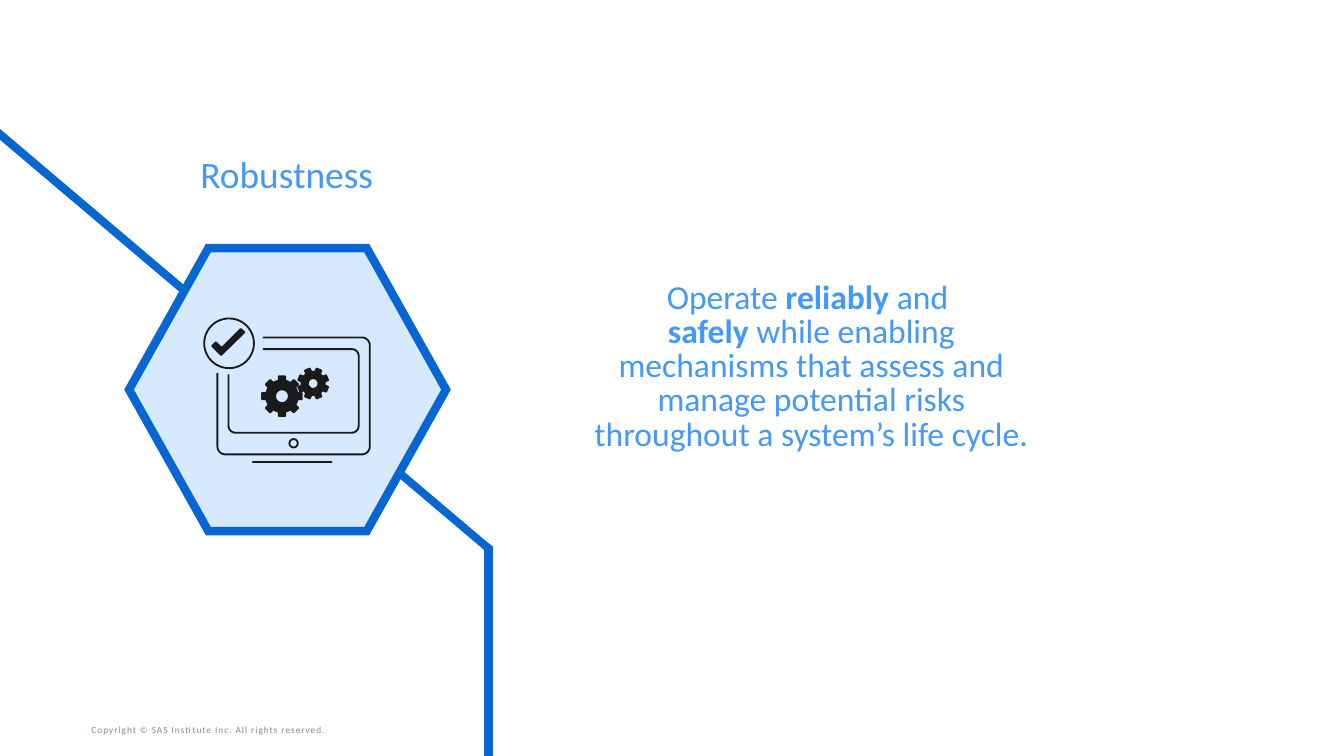
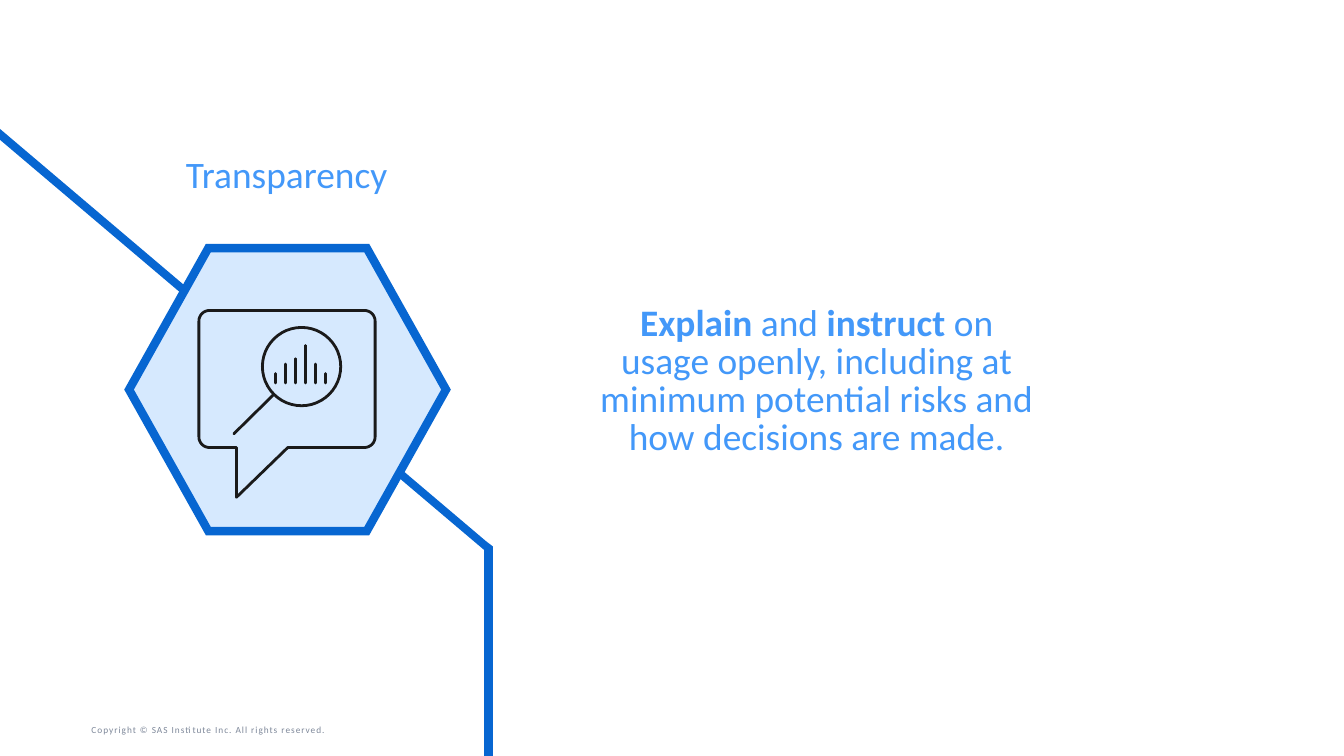
"""Build two slides on principles of trustworthy AI, each with a hexagon icon."""
from dataclasses import dataclass
from math import asin, cos, pi, sin
from typing import Union

from lxml import etree
from pptx import Presentation
from pptx.dml.color import RGBColor
from pptx.enum import shapes, text
from pptx.oxml import ns
from pptx.util import Cm, Pt

Spot = tuple[float, float]
Pts = tuple[Spot, ...]
Box = tuple[float, float, float, float]


@dataclass(frozen=True)
class Theme:
    font: str = "Calibri"
    white: str = "FFFFFF"
    ink: str = "1A1A1A"
    blue: str = "0766D1"
    pale: str = "D6E9FE"
    sky: str = "4398F9"
    gray: str = "7E889A"
    head: float = 20
    note: float = 5
    edge: float = 4.5
    lead: float = 0.85


T = Theme()


@dataclass(frozen=True)
class Line:
    start: Spot
    end: Spot


@dataclass(frozen=True)
class Disc:
    mid: Spot
    size: float
    fill: str = ""


@dataclass(frozen=True)
class Trace:
    pts: Pts
    closed: bool = False
    fill: str = ""
    hole: Pts = ()


Item = Union[Line, Disc, Trace]


@dataclass(frozen=True)
class Page:
    title: str
    body: str
    size: float
    box: Box
    icon: tuple[Item, ...]
    weight: float


def ring(mid: Spot, rad: float, steps: int = 32) -> Pts:
    turns = [2 * pi * i / steps for i in range(steps)]
    return tuple((mid[0] + rad * cos(a), mid[1] + rad * sin(a)) for a in turns)


def gear(mid: Spot, tip: float, root: float, half: float, bore: float,
         turn: float = 0, teeth: int = 8) -> Trace:
    wide, slim = asin(half / root), asin(half / tip)
    tooth = ((root, -wide), (tip, -slim), (tip, slim), (root, wide), (root, pi / teeth))
    pts = tuple(
        (mid[0] + rad * cos(turn + 2 * pi * i / teeth + off),
         mid[1] + rad * sin(turn + 2 * pi * i / teeth + off))
        for i in range(teeth) for rad, off in tooth)
    return Trace(pts, True, T.ink, ring(mid, bore))


def toward(spot: Spot, goal: Spot, rad: float) -> Spot:
    dx, dy = goal[0] - spot[0], goal[1] - spot[1]
    part = rad / (dx * dx + dy * dy) ** 0.5
    return spot[0] + dx * part, spot[1] + dy * part


def bend(pts: Pts, rad: float, steps: int = 8) -> Pts:
    out = [pts[0]]
    for last, spot, after in zip(pts, pts[1:], pts[2:]):
        a, b = toward(spot, last, rad), toward(spot, after, rad)
        for i in range(steps + 1):
            u, v = 1 - cos(pi / 2 * i / steps), 1 - sin(pi / 2 * i / steps)
            out.append(tuple(s + (p - s) * v + (q - s) * u
                             for s, p, q in zip(spot, a, b)))
    return (*out, pts[-1])


def rgb(code: str) -> RGBColor:
    return RGBColor.from_string(code)


def ink(shape, color: str, weight: float, join: str = "round") -> None:
    shape.line.color.rgb = rgb(color)
    shape.line.width = Pt(weight)
    line = shape.element.spPr.find(ns.qn("a:ln"))
    if join == "round":
        line.set("cap", "rnd")
        etree.SubElement(line, ns.qn("a:round"))
    else:
        etree.SubElement(line, ns.qn("a:miter"), lim="800000")


def paint(shape, fill: str) -> None:
    shape.shadow.inherit = False
    if fill:
        shape.fill.solid()
        shape.fill.fore_color.rgb = rgb(fill)
    else:
        shape.fill.background()


def trace(slide, item: Trace):
    (x, y), *rest = item.pts
    form = slide.shapes.build_freeform(Cm(x), Cm(y))
    form.add_line_segments([(Cm(a), Cm(b)) for a, b in rest], close=item.closed)
    if item.hole:
        (x, y), *rest = item.hole
        form.move_to(Cm(x), Cm(y))
        form.add_line_segments([(Cm(a), Cm(b)) for a, b in rest])
    shape = form.convert_to_shape()
    paint(shape, item.fill)
    return shape


def draw(slide, item: Item, weight: float) -> None:
    if isinstance(item, Line):
        shape = slide.shapes.add_connector(
            shapes.MSO_CONNECTOR.STRAIGHT, *map(Cm, item.start + item.end))
    elif isinstance(item, Disc):
        x, y = (c - item.size / 2 for c in item.mid)
        shape = slide.shapes.add_shape(
            shapes.MSO_SHAPE.OVAL, *map(Cm, (x, y, item.size, item.size)))
        paint(shape, item.fill)
    else:
        shape = trace(slide, item)
    ink(shape, T.ink, weight)
    if isinstance(item, Line):
        etree.SubElement(shape.element.spPr, ns.qn("a:effectLst"))


def write(shape, words: str, size: float, color: str, pad: Box = (0, 0, 0, 0)):
    frame = shape.text_frame
    frame.word_wrap = True
    frame.auto_size = text.MSO_AUTO_SIZE.NONE
    frame.vertical_anchor = text.MSO_ANCHOR.MIDDLE
    (frame.margin_left, frame.margin_top,
     frame.margin_right, frame.margin_bottom) = map(Cm, pad)
    para = frame.paragraphs[0]
    para.alignment = text.PP_ALIGN.CENTER
    para.line_spacing = T.lead
    para.space_before = Pt(0)
    para.font.name = T.font
    para.font.size = Pt(size)
    para.font.color.rgb = rgb(color)
    for row, line in enumerate(words.split("\n")):
        if row:
            para.add_line_break()
        for i, part in enumerate(line.split("*")):
            if part:
                run = para.add_run()
                run.text = part
                run.font.bold = i % 2 == 1
    return frame


def label(slide, box: Box):
    return slide.shapes.add_textbox(*map(Cm, box))


def frame(slide) -> None:
    note = label(slide, (1.73, 13.56, 6.99, 0.48))
    copy = write(note, "Copyright © SAS Institute Inc. All rights reserved.",
                 T.note, T.gray, (0, 0.13, 0.25, 0.13))
    copy.vertical_anchor = text.MSO_ANCHOR.BOTTOM
    copy.paragraphs[0].alignment = text.PP_ALIGN.LEFT
    copy.paragraphs[0].line_spacing = 1.0
    for prop in note.element.iter(ns.qn("a:rPr")):
        prop.set("spc", "50")
    band = trace(slide, Trace(
        ((0, 2.46), (9.17, 10.24), (9.3, 10.34), (9.3, 14.29),
         (9.17, 14.29), (9.17, 10.39), (0, 2.62)), True, T.blue))
    ink(band, T.blue, 1, "miter")
    hexa = slide.shapes.add_shape(
        shapes.MSO_SHAPE.HEXAGON, *map(Cm, (2.44, 4.69, 5.99, 5.35)))
    hexa.adjustments[0] = 0.28
    paint(hexa, T.pale)
    ink(hexa, T.blue, T.edge, "miter")


def build(deck, page: Page) -> None:
    slide = deck.slides.add_slide(deck.slide_layouts[5])
    frame(slide)
    title = slide.shapes.title
    title.left, title.top, title.width, title.height = map(Cm, (2.59, 2.36, 5.66, 1.96))
    write(title, page.title, T.head, T.sky)
    body = label(slide, page.box)
    body.fill.solid()
    body.fill.fore_color.rgb = rgb(T.white)
    write(body, page.body, page.size, T.sky)
    for item in page.icon:
        draw(slide, item, page.weight)


SCREEN = (
    Trace(bend(((4.98, 6.38), (6.99, 6.38), (6.99, 8.59), (4.11, 8.59), (4.11, 7.06)), 0.15)),
    Line((4.78, 8.74), (6.27, 8.74)),
    Trace(bend(((4.98, 6.6), (6.78, 6.6), (6.78, 8.18), (4.32, 8.18), (4.32, 7.09)), 0.13)),
    Disc((5.55, 8.38), 0.16),
    gear((5.33, 7.49), 0.38, 0.3, 0.06, 0.13),
    gear((5.92, 7.25), 0.29, 0.22, 0.05, 0.1, pi / 8),
    Disc((4.33, 6.49), 0.94),
    Trace(((4.62, 6.28), (4.55, 6.22), (4.19, 6.58), (4.08, 6.47),
           (4.01, 6.54), (4.18, 6.71)), True, T.ink),
)
BARS = (0.18, 0.36, 0.46, 0.71, 0.36, 0.18)
SPEECH = (
    Disc((5.7, 6.93), 1.48, T.pale),
    Line((4.42, 8.2), (5.16, 7.47)),
    *(Line((5.2 + 0.19 * i, 7.24 - tall), (5.2 + 0.19 * i, 7.24))
      for i, tall in enumerate(BARS)),
    Trace(bend(((5.44, 8.46), (7.09, 8.46), (7.09, 5.87), (3.76, 5.87),
                (3.76, 8.46), (4.47, 8.46)), 0.2) + ((4.47, 9.4),), True),
)
PAGES = (
    Page("Robustness",
         "Operate *reliably* and \n*safely* while enabling mechanisms that assess and "
         "manage potential risks throughout a system’s life cycle.",
         18, (11.13, 5.28, 8.41, 3.33), SCREEN, 1),
    Page("Transparency",
         "*Explain* and *instruct* on usage openly, including at minimum potential "
         "risks and how decisions are made.",
         20, (11.23, 5.56, 8.41, 3.33), SPEECH, 1.5),
)


def main() -> None:
    deck = Presentation()
    deck.slide_width, deck.slide_height = Cm(25.4), Cm(14.29)
    for page in PAGES:
        build(deck, page)
    deck.save("out.pptx")


if __name__ == "__main__":
    main()
